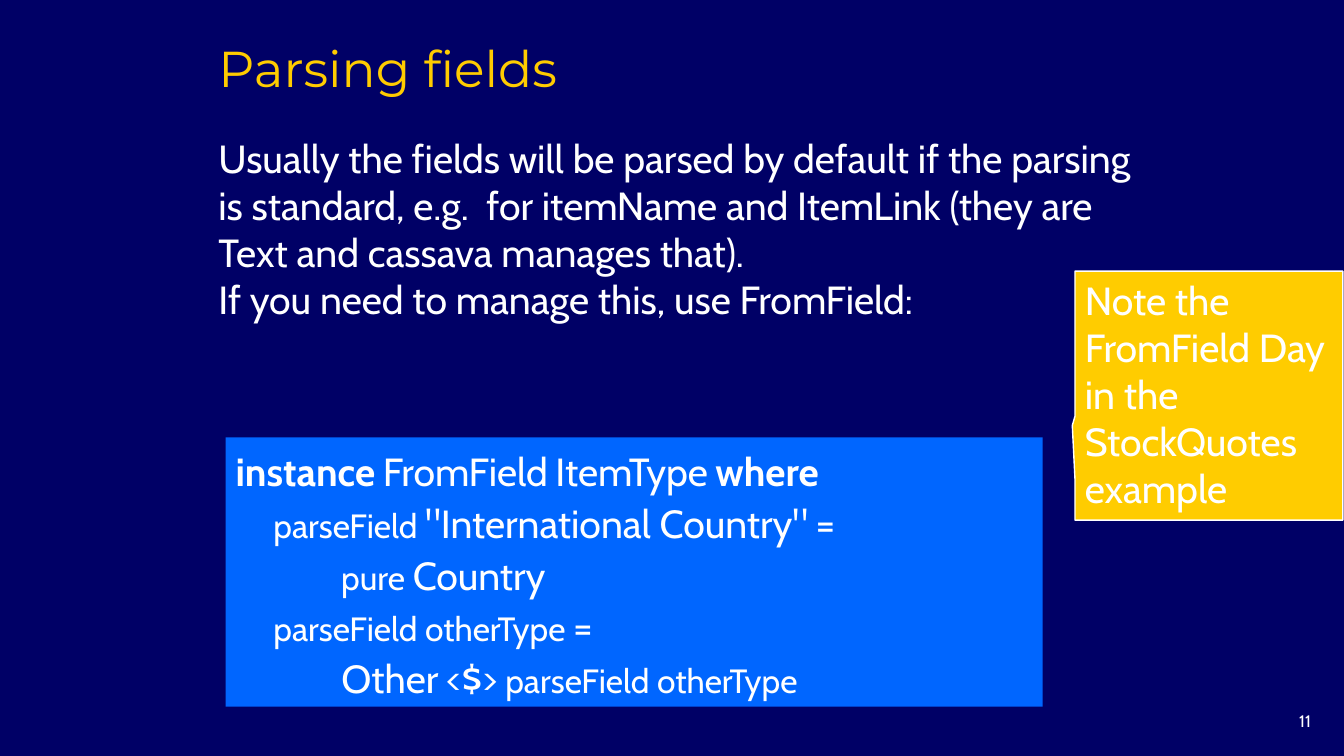
from pptx import Presentation
from pptx.dml.color import RGBColor
from pptx.enum.shapes import MSO_SHAPE
from pptx.enum.text import MSO_ANCHOR, PP_ALIGN
from pptx.util import Emu, Pt

PX = 9144  # 100 px to the inch
COLORS = {"navy": "000066", "blue": "0066FF", "gold": "FFCC00", "white": "FFFFFF"}

# Code styles: size in points, bold
KEYWORD, LARGE, SMALL = (28, True), (28, False), (24, False)
CODE = [
    [("instance", KEYWORD), (" ", SMALL), ("FromField", LARGE), (" ", SMALL),
     ("ItemType", LARGE), (" ", SMALL), ("where", KEYWORD)],
    [("     parseField ", SMALL), ('"International Country"', LARGE),
     (" ", SMALL), ("=", LARGE)],
    [("              pure ", SMALL), ("Country", LARGE)],
    [("     parseField otherType ", SMALL), ("=", LARGE)],
    [("              ", SMALL), ("Other", LARGE), (" ", SMALL), ("<$>", LARGE),
     (" parseField otherType", SMALL)],
]
BODY = [
    "Usually the fields will be parsed by default if the parsing is standard, "
    "e.g.  for itemName and ItemLink (they are Text and cassava manages that).",
    "If you need to manage this, use FromField:",
]


def rgb(name):
    return RGBColor.from_string(COLORS[name])


def format_run(r, size, color="white", font="Cabin", bold=False):
    r.font.size = Pt(size)
    r.font.name = font
    r.font.bold = bold
    r.font.color.rgb = rgb(color)


def fill_text(tf, text, size, align=PP_ALIGN.LEFT, **style):
    tf.word_wrap = True
    tf.text = text
    for p in tf.paragraphs:
        p.alignment = align
        for r in p.runs:
            format_run(r, size, **style)


def add_text(s, box, text, size, anchor=MSO_ANCHOR.TOP, **style):
    tf = s.shapes.add_textbox(*(Emu(v * PX) for v in box)).text_frame
    tf.vertical_anchor = anchor
    fill_text(tf, text, size, **style)


def add_panel(s, kind, box, fill, anchor, line=None):
    sp = s.shapes.add_shape(kind, *(Emu(v * PX) for v in box))
    sp.shadow.inherit = False
    sp.fill.solid()
    sp.fill.fore_color.rgb = rgb(fill)
    if line:
        sp.line.color.rgb = rgb(line)
        sp.line.width = Pt(1)
    else:
        sp.line.fill.background()
    sp.text_frame.vertical_anchor = anchor
    return sp


def add_code(s, box, lines):
    sp = add_panel(s, MSO_SHAPE.RECTANGLE, box, "blue", MSO_ANCHOR.MIDDLE)
    tf = sp.text_frame
    tf.word_wrap = True
    for i, line in enumerate(lines):
        p = tf.add_paragraph() if i else tf.paragraphs[0]
        p.alignment = PP_ALIGN.LEFT
        p.line_spacing = 1.1
        for text, (size, bold) in line:
            r = p.add_run()
            r.text = text
            format_run(r, size, bold=bold)


def add_callout(s, box, text):
    sp = add_panel(s, MSO_SHAPE.RECTANGULAR_CALLOUT, box, "gold",
                   MSO_ANCHOR.TOP, line="white")
    sp.adjustments[0] = -0.51
    sp.adjustments[1] = 0.12
    fill_text(sp.text_frame, text, 28)


def main():
    prs = Presentation()
    prs.slide_width, prs.slide_height = Emu(1334 * PX), Emu(750 * PX)
    s = prs.slides.add_slide(prs.slide_layouts[6])
    s.background.fill.solid()
    s.background.fill.fore_color.rgb = rgb("navy")

    # Slide number and title
    add_text(s, (1222, 700, 89, 33), "11", 11.9, align=PP_ALIGN.RIGHT)
    add_text(s, (207, 13, 844, 89), "Parsing fields", 36,
             anchor=MSO_ANCHOR.BOTTOM, color="gold", font="Montserrat")

    # Code panel, side note and explanation
    add_code(s, (224, 434, 811, 267), CODE)
    add_callout(s, (1067, 269, 266, 247),
                "Note the FromField Day in the StockQuotes example")
    add_text(s, (207, 128, 926, 244), "\n".join(BODY), 28)

    prs.save("out.pptx")


if __name__ == "__main__":
    main()
